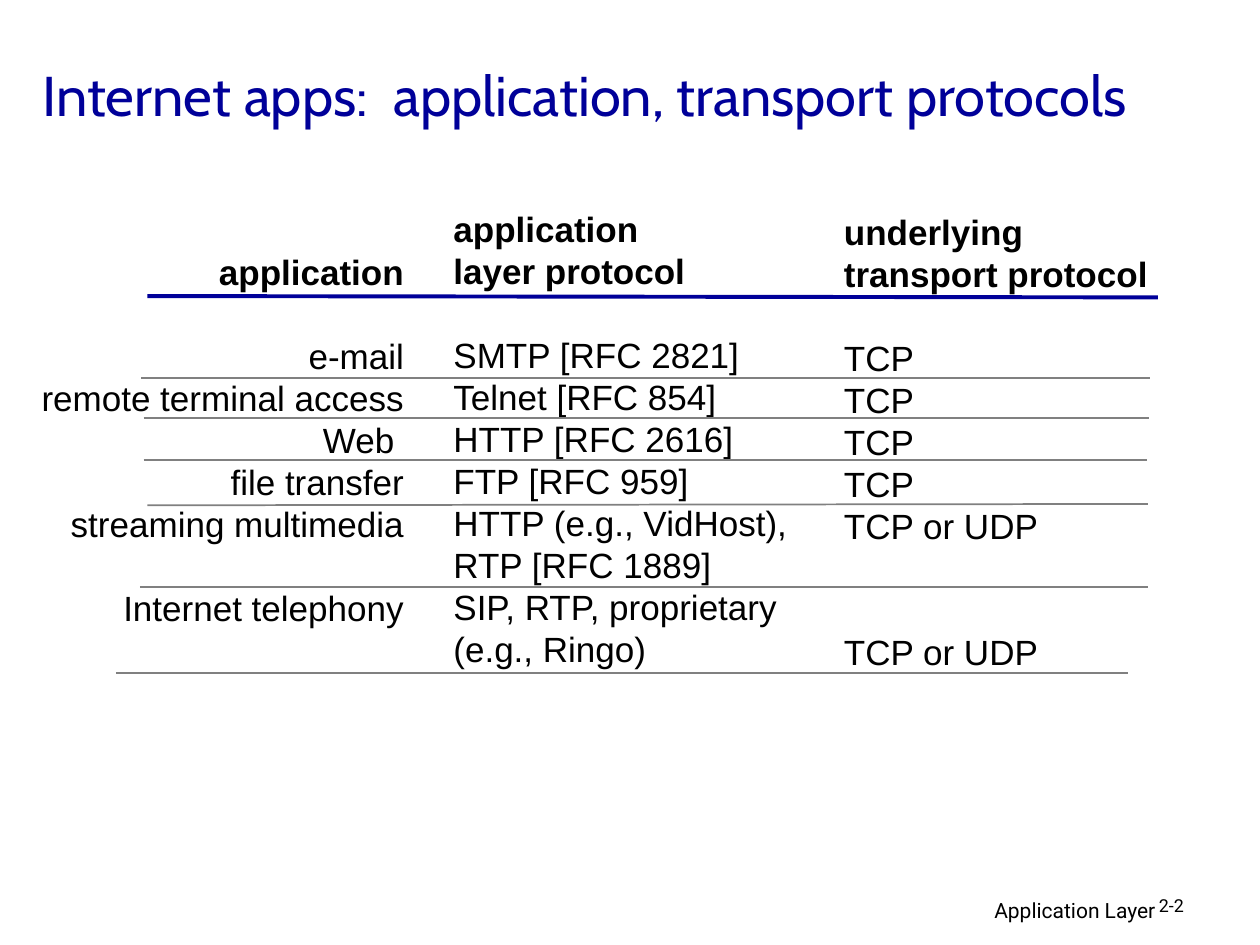
"""Build a slide that matches Internet applications with their protocols."""
from lxml.etree import SubElement
from pptx import Presentation
from pptx.dml.color import RGBColor
from pptx.enum.shapes import MSO_CONNECTOR
from pptx.enum.text import MSO_ANCHOR, PP_ALIGN
from pptx.oxml.ns import qn
from pptx.util import Inches, Pt

COLORS = {"navy": "000099", "black": "000000", "gray": "808080"}
LINE_PITCH = Pt(24)

LABELS = [
    ("Application Layer", (61, 94.27, 31.7, 4.13), "black",
     {"name": "Roboto", "size": Pt(12)}, {"alignment": PP_ALIGN.RIGHT}, MSO_ANCHOR.TOP),
    ("2-2", (91, 94.27, 7.4, 4), "black",
     {"name": "Roboto", "size": Pt(10.2)}, {"line_spacing": 0.9}, MSO_ANCHOR.TOP),
    ("Internet apps:  application, transport protocols", (2.4, 3.87, 95.7, 12.27), "navy",
     {"name": "Cabin", "size": Pt(32)}, {}, MSO_ANCHOR.MIDDLE),
]

COLUMNS = [
    {"area": (1.8, 25.87, 31.25, 45.87), "align": PP_ALIGN.RIGHT,
     "heading": ["application"],
     "entries": ["e-mail", "remote terminal access", "Web ", "file transfer",
                 "streaming multimedia", "Internet telephony"],
     "skipped_lines": {0: 1, 5: 1}},
    {"area": (35, 21.33, 30.9, 50.27), "align": PP_ALIGN.LEFT,
     "heading": ["application", "layer protocol"],
     "entries": ["SMTP [RFC 2821]", "Telnet [RFC 854]", "HTTP [RFC 2616]", "FTP [RFC 959]",
                 "HTTP (e.g., VidHost),\vRTP [RFC 1889]", "SIP, RTP, proprietary",
                 "(e.g., Ringo)"],
     "skipped_lines": {0: 1}},
    {"area": (66, 21.6, 28.7, 50.27), "align": PP_ALIGN.LEFT,
     "heading": ["underlying", "transport protocol"],
     "entries": ["TCP", "TCP", "TCP", "TCP", "TCP or UDP", "TCP or UDP"],
     "skipped_lines": {0: 1, 5: 2}},
]

HEADING_RULE = (11.7, 31.33, 91.9, 31.47)
ROW_RULES = [
    (11.2, 40, 91.3, 40),
    (11.4, 44.27, 91.2, 44.27),
    (11.4, 48.67, 91, 48.67),
    (11.7, 53.47, 91.1, 53.33),
    (11.1, 62.13, 91.1, 62.13),
    (9.2, 71.2, 89.5, 71.2),
]

deck = Presentation()
deck.slide_width, deck.slide_height = Inches(10), Inches(7.5)
slide = deck.slides.add_slide(deck.slide_layouts[6])


def place(shares):
    """Turn percentages of the slide's size into lengths."""
    sides = (deck.slide_width, deck.slide_height) * 2
    return [round(side * share / 100) for side, share in zip(sides, shares)]


def apply(target, formats):
    """Set each format value on the target."""
    for attribute, value in formats.items():
        setattr(target, attribute, value)


def add_frame(area, anchor=MSO_ANCHOR.TOP):
    """Add a text box and return its frame."""
    frame = slide.shapes.add_textbox(*place(area)).text_frame
    apply(frame, {"word_wrap": True, "vertical_anchor": anchor})
    return frame


def write(paragraph, text, color, font, layout):
    """Fill one paragraph and format it."""
    paragraph.text = text
    apply(paragraph, layout)
    for run in paragraph.runs:
        apply(run.font, font)
        run.font.color.rgb = RGBColor.from_string(COLORS[color])


def add_rule(ends, color, width):
    """Draw a plain line between two points."""
    rule = slide.shapes.add_connector(MSO_CONNECTOR.STRAIGHT, *place(ends))
    rule.line.color.rgb = RGBColor.from_string(COLORS[color])
    rule.line.width = Pt(width)
    SubElement(rule._element.spPr, qn("a:effectLst"))


for text, area, color, font, layout, anchor in LABELS:
    write(add_frame(area, anchor).paragraphs[0], text, color, font, layout)

for column in COLUMNS:
    frame = add_frame(column["area"])
    heading_count = len(column["heading"])
    for index, text in enumerate(column["heading"] + column["entries"]):
        paragraph = frame.add_paragraph() if index else frame.paragraphs[0]
        skipped = column["skipped_lines"].get(index - heading_count, 0)
        write(paragraph, text, "black",
              {"name": "Arial", "size": Pt(20), "bold": index < heading_count},
              {"alignment": column["align"], "line_spacing": LINE_PITCH,
               "space_before": skipped * LINE_PITCH})

add_rule(HEADING_RULE, "navy", 2.25)
for ends in ROW_RULES:
    add_rule(ends, "gray", 1)

deck.save("out.pptx")
